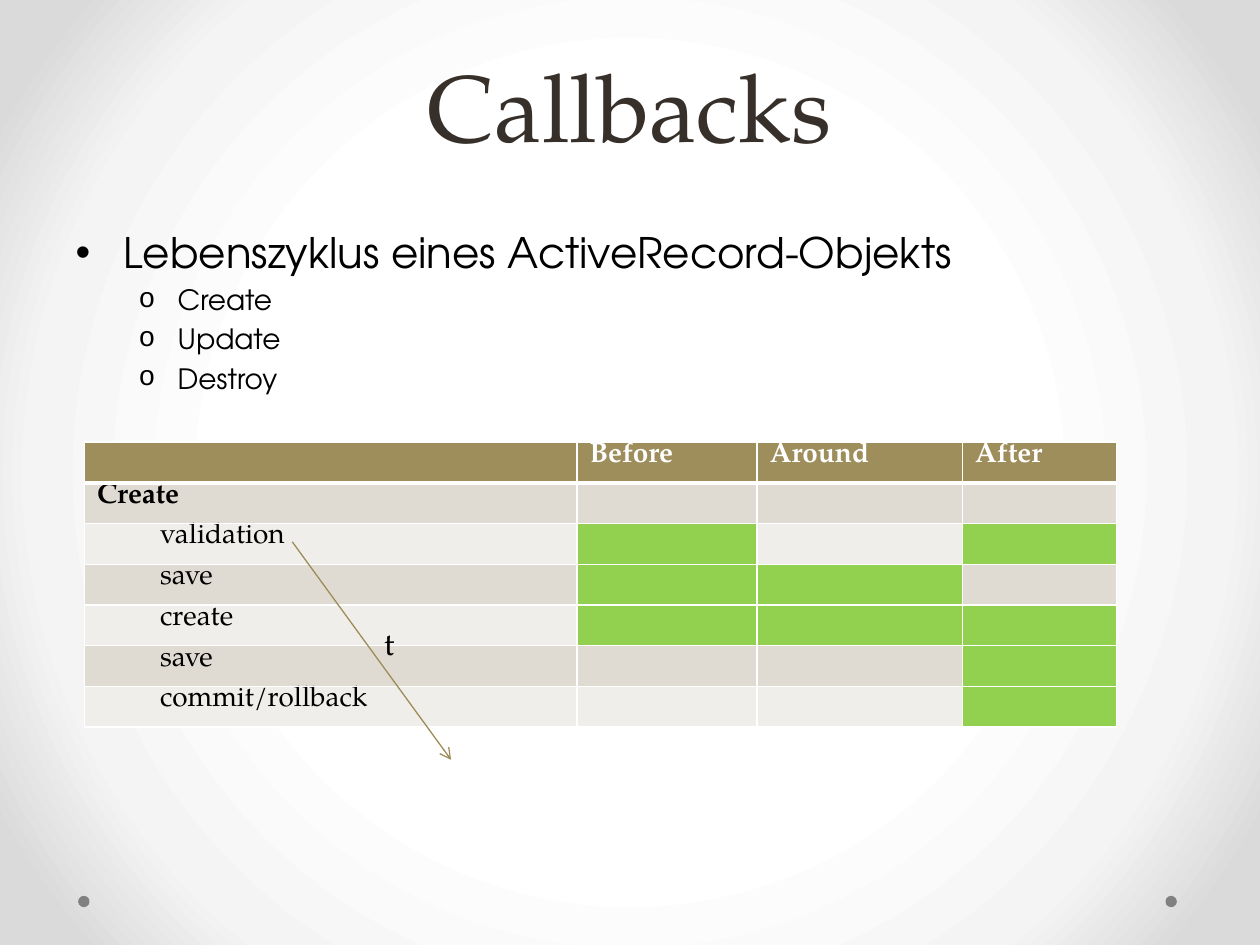
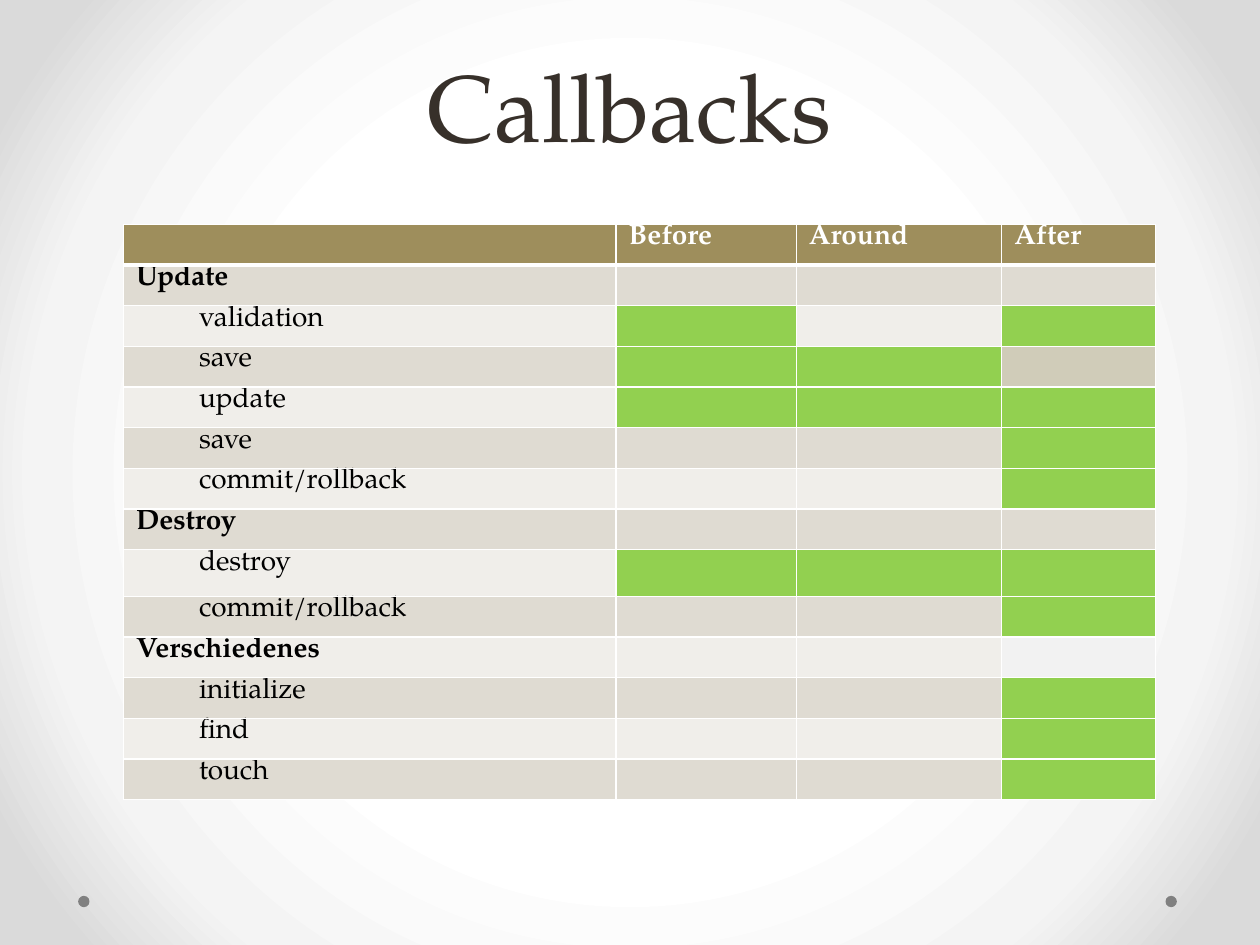
from lxml import etree
from pptx import Presentation
from pptx.dml.color import RGBColor
from pptx.enum import shapes, text
from pptx.oxml import ns
from pptx.util import Inches, Pt

SERIF, SANS = "TeX Gyre Pagella", "TeX Gyre Adventor"
BLACK, WHITE, TITLE, DOT = "000000", "FFFFFF", "37302A", "808080"
HEADER, ARROW = "9E8E5C", "9C8C58"
BANDS = ("DFDBD2", "F0EEEA")
MARKS = {"x": "92D050", "d": "D0CCB9", "w": "F2F2F2"}  # "." keeps the band
BACKGROUND = ((0, WHITE), (50, WHITE), (76, "F4F4F4"), (92, "DADADA"),
              (100, "DADADA"))
COLUMNS = (("", 3.91), ("Before", 1.43), ("Around", 1.63), ("After", 1.22))
ROW_HEIGHT = 0.323

# Headings have no level; callbacks are indented below them.
CREATE = (("Create", 0, "..."), ("validation", 1, "x.x"), ("save", 1, "xx."),
          ("create", 1, "xxx"), ("save", 1, "..x"),
          ("commit/rollback", 1, "..x"))
OTHERS = (("Update", 0, "..."), ("validation", 1, "x.x"), ("save", 1, "xxd"),
          ("update", 1, "xxx"), ("save", 1, "..x"),
          ("commit/rollback", 1, "..x"),
          ("Destroy", 0, "..."), ("destroy", 1, "xxx"),
          ("commit/rollback", 1, "..x"),
          ("Verschiedenes", 0, "..w"), ("initialize", 1, "..x"),
          ("find", 1, "..x"), ("touch", 1, "..x"))


def rgb(value):
    return RGBColor.from_string(value)


def add_xml(parent, tag, **attrs):
    el = etree.SubElement(parent, ns.qn(tag))
    for name, value in attrs.items():
        el.set(name, str(value))
    return el


def add_run(p, words, color, **formats):
    r = p.add_run()
    r.text = words
    r.font.color.rgb = rgb(color)
    for name, value in formats.items():
        setattr(r.font, name, value)


def place(sp, left, top, width, height):
    for name, value in dict(left=left, top=top, width=width,
                            height=height).items():
        setattr(sp, name, Inches(value))


def set_background(master):
    master.background.fill.gradient()
    grad = master.element.find(".//" + ns.qn("a:gradFill"))
    for child in list(grad):
        grad.remove(child)
    stops = add_xml(grad, "a:gsLst")
    for pos, color in BACKGROUND:
        add_xml(add_xml(stops, "a:gs", pos=pos * 1000), "a:srgbClr", val=color)
    path = add_xml(grad, "a:path", path="circle")
    add_xml(path, "a:fillToRect", **dict.fromkeys("ltrb", 50000))


def add_slide(prs, layout, title):
    """Add a slide with the shared title and the two dots at the foot."""
    s = prs.slides.add_slide(prs.slide_layouts[layout])
    for left in (0.62, 9.25):
        dot = s.shapes.add_shape(shapes.MSO_SHAPE.OVAL, Inches(left),
                                 Inches(7.11), Inches(0.09), Inches(0.09))
        dot.shadow.inherit = False
        dot.fill.solid()
        dot.fill.fore_color.rgb = rgb(DOT)
        dot.line.fill.background()
    place(s.shapes.title, 0.5, 0, 9, 1.75)
    tf = s.shapes.title.text_frame
    tf.vertical_anchor = text.MSO_ANCHOR.MIDDLE
    p = tf.paragraphs[0]
    p.alignment = text.PP_ALIGN.CENTER
    p.line_spacing = Pt(58)
    add_run(p, title, TITLE, name=SERIF, size=Pt(54))
    return s


def add_bullets(sp, items):
    tf = sp.text_frame
    for i, (level, words) in enumerate(items):
        p = tf.add_paragraph() if i else tf.paragraphs[0]
        p.level = level
        size, left, hang, font, bullet = (
            (16, 0.81, 0.31, "Courier New", "o") if level
            else (24, 0.38, 0.38, "Arial", "•"))
        pPr = p._p.get_or_add_pPr()
        pPr.set("marL", str(Inches(left)))
        pPr.set("indent", str(-Inches(hang)))
        add_xml(add_xml(pPr, "a:spcBef"), "a:spcPct", val=20000)
        add_xml(pPr, "a:buFont", typeface=font)
        add_xml(pPr, "a:buChar", char=bullet)
        add_run(p, words, BLACK, name=SANS, size=Pt(size))


def format_cell(cell, fill, top=1, bottom=1):
    """Fill the cell and give it white borders, widths in points."""
    cell.margin_top = cell.margin_bottom = 0
    tcPr = cell._tc.get_or_add_tcPr()
    for side, width in zip("LRTB", (1, 1, top, bottom)):
        ln = add_xml(tcPr, "a:ln" + side, w=Pt(width))
        add_xml(add_xml(ln, "a:solidFill"), "a:srgbClr", val=WHITE)
    cell.fill.solid()
    cell.fill.fore_color.rgb = rgb(fill)


def add_callback_table(s, left, top, rows):
    count = len(rows) + 1
    table = s.shapes.add_table(
        count, len(COLUMNS), Inches(left), Inches(top),
        Inches(sum(width for _, width in COLUMNS)),
        Inches(ROW_HEIGHT * count)).table
    font = dict(name=SERIF, size=Pt(16))
    for c, (label, width) in enumerate(COLUMNS):
        table.columns[c].width = Inches(width)
        cell = table.cell(0, c)
        format_cell(cell, HEADER, bottom=3)
        if label:
            add_run(cell.text_frame.paragraphs[0], label, WHITE, bold=True,
                    **font)
    for r, (label, level, marks) in enumerate(rows, 1):
        band = BANDS[(r - 1) % 2]
        for c, mark in enumerate("." + marks):
            format_cell(table.cell(r, c), MARKS.get(mark, band),
                        top=3 if r == 1 else 1)
        p = table.cell(r, 0).text_frame.paragraphs[0]
        p.level = level
        p._p.get_or_add_pPr().set("marL", str(Inches(0.5 * level)))
        add_run(p, label, BLACK, bold=not level, **font)
    return table


def add_time_arrow(s):
    group = s.shapes.add_group_shape()
    line = group.shapes.add_connector(
        shapes.MSO_CONNECTOR.STRAIGHT, Inches(2.32), Inches(4.3),
        Inches(3.58), Inches(6.03))
    line.line.color.rgb = rgb(ARROW)
    line.line.width = Pt(0.75)
    add_xml(line.line._get_or_add_ln(), "a:tailEnd", type="arrow")
    add_xml(line._element.spPr, "a:effectLst")
    label = group.shapes.add_textbox(Inches(2.95), Inches(4.9),
                                     Inches(0.27), Inches(0.4))
    label.text_frame.word_wrap = False
    add_run(label.text_frame.paragraphs[0], "t", BLACK, name=SERIF,
            size=Pt(18))


def main():
    prs = Presentation()
    prs.slide_width, prs.slide_height = Inches(10), Inches(7.5)
    set_background(prs.slide_master)

    s = add_slide(prs, 1, "Callbacks")
    body = s.placeholders[1]
    place(body, 0.5, 1.75, 9, 4.95)
    add_bullets(body, ((0, "Lebenszyklus eines ActiveRecord-Objekts"),
                       (1, "Create"), (1, "Update"), (1, "Destroy")))
    add_callback_table(s, 0.67, 3.51, CREATE)
    add_time_arrow(s)

    s = add_slide(prs, 5, "Callbacks")
    table = add_callback_table(s, 0.98, 1.78, OTHERS)
    table.rows[8].height = Inches(0.37)

    prs.save("out.pptx")


if __name__ == "__main__":
    main()
